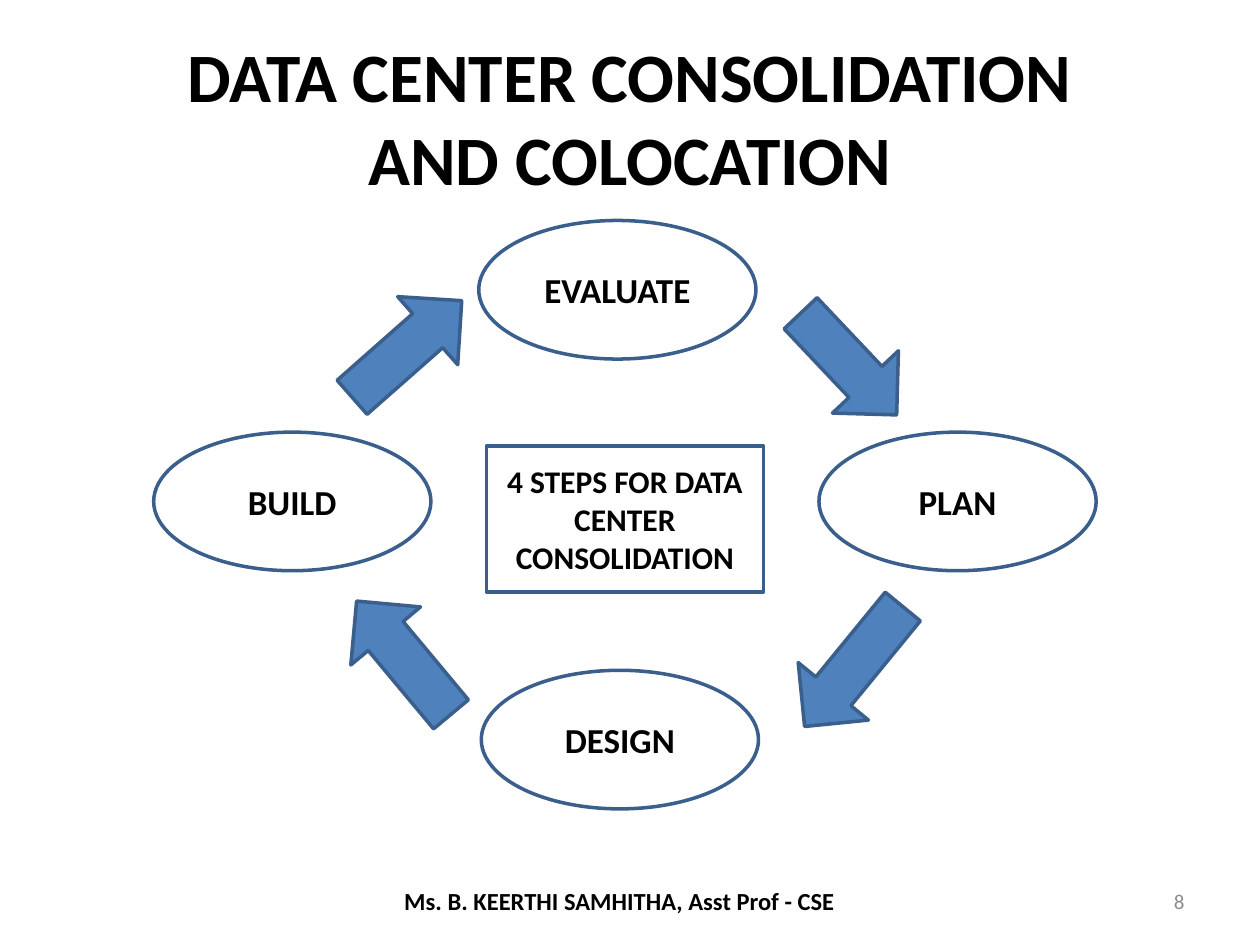
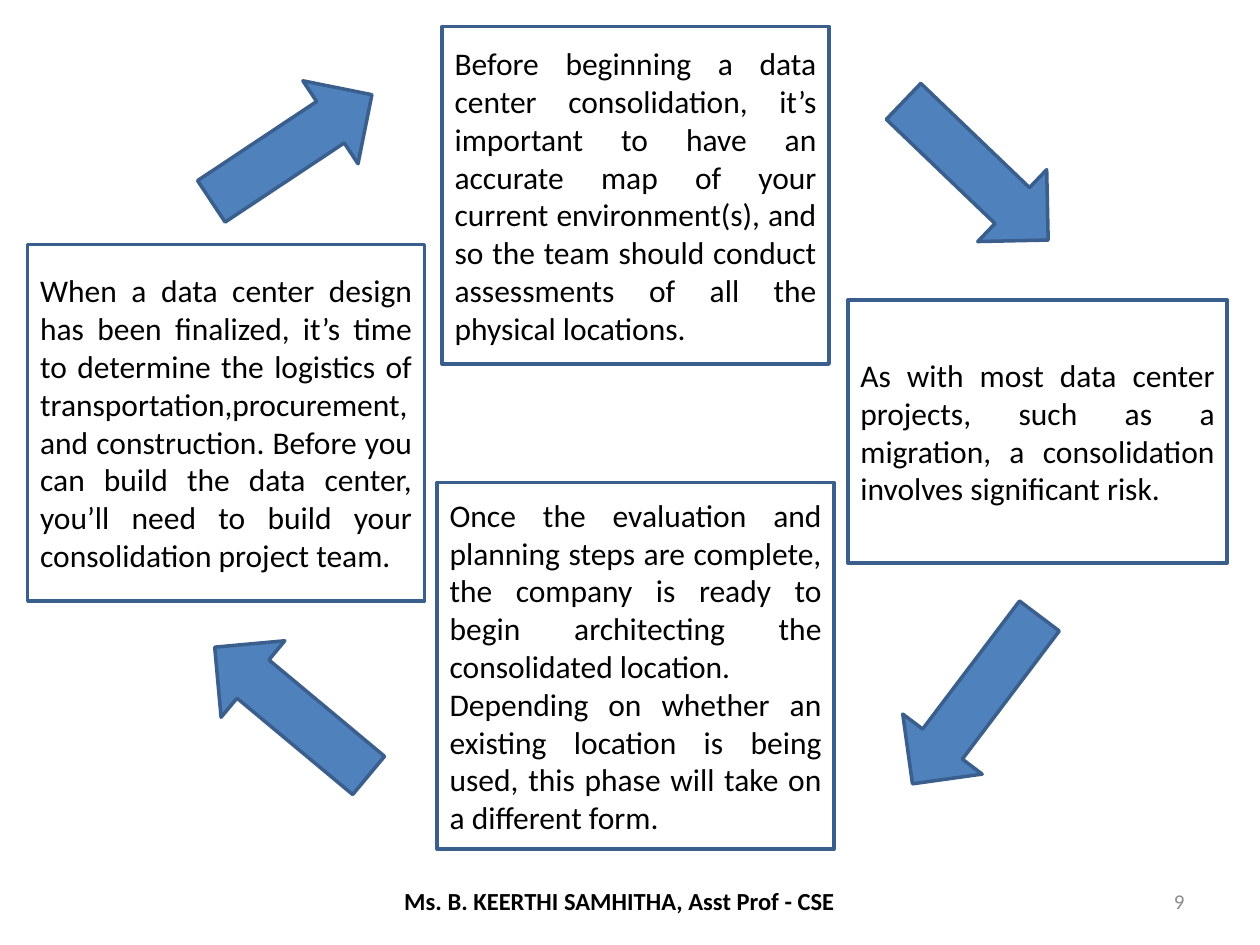
from pptx import Presentation
from pptx.dml.color import RGBColor
from pptx.enum.shapes import MSO_SHAPE
from pptx.enum.text import MSO_ANCHOR, PP_ALIGN
from pptx.util import Emu, Pt

PX = 9144
SLIDE_WIDTH, SLIDE_HEIGHT = 1000, 750

FONT = "Calibri"
BLACK = RGBColor(0x00, 0x00, 0x00)
GRAY = RGBColor(0x8C, 0x8C, 0x8C)
BLUE = RGBColor(0x4F, 0x81, 0xBD)
DARK_BLUE = RGBColor(0x3A, 0x5F, 0x8C)

ELLIPSE, RECTANGLE, ARROW = MSO_SHAPE.OVAL, MSO_SHAPE.RECTANGLE, MSO_SHAPE.RIGHT_ARROW
LEFT, CENTER, RIGHT, JUSTIFY = PP_ALIGN.LEFT, PP_ALIGN.CENTER, PP_ALIGN.RIGHT, PP_ALIGN.JUSTIFY
TOP, MIDDLE = MSO_ANCHOR.TOP, MSO_ANCHOR.MIDDLE
TITLE_ONLY, BLANK = 5, 6

AUTHOR = "Ms. B. KEERTHI SAMHITHA, Asst Prof - CSE"

STEP_SIZE = (220, 110)
STEPS = [
    ("EVALUATE", 258, 0),
    ("PLAN", 528, 168),
    ("DESIGN", 260, 357),
    ("BUILD", 0, 168),
]
STEP_ARROWS = [
    (496, 78, 111, 46.6),
    (494, 318, 123, 129.3),
    (140, 311, 117, 230.2),
    (143, 66, 116, 318.6),
]
HUB_LINES = ["4 STEPS FOR DATA", "CENTER", "CONSOLIDATION"]

DETAILS = [
    ((329, 0, 307, 268), [
        "Before beginning a data center consolidation, it’s important to have an accurate "
        "map of your current environment(s), and so the team should conduct assessments "
        "of all the physical locations."]),
    ((651, 217, 301, 209), [
        "As with most data center projects, such as a migration, a consolidation involves "
        "significant risk."]),
    ((325, 362, 315, 291), [
        "Once the evaluation and planning steps are complete, the company is ready to "
        "begin architecting the consolidated location.",
        "Depending on whether an existing location is being used, this phase will take "
        "on a different form."]),
    ((0, 173, 315, 283), [
        "When a data center design has been finalized, it’s time to determine the "
        "logistics of transportation,procurement, and construction. Before you can build "
        "the data center, you’ll need to build your consolidation project team."]),
]
DETAIL_ARROWS = [
    (673, 75, 159, 43.8),
    (669, 495, 167, 127.1),
    (130, 504, 159, 219.8),
    (133, 57, 153, 326.4),
]


def to_emu(*lengths):
    """Turn px lengths into EMU."""
    return [Emu(length * PX) for length in lengths]


def write(shape, lines, size=18, bold=False, color=BLACK, align=CENTER, anchor=MIDDLE):
    """Fill a shape with one formatted paragraph for each line."""
    frame = shape.text_frame
    frame.word_wrap = True
    frame.vertical_anchor = anchor
    frame.text = "\n".join(lines)
    for paragraph in frame.paragraphs:
        paragraph.alignment = align
        for run in paragraph.runs:
            run.font.name = FONT
            run.font.size = Pt(size)
            run.font.bold = bold
            run.font.color.rgb = color


def add_outlined(slide, kind, box, fill=None):
    """Add a preset shape with the shared outline and an optional fill."""
    shape = slide.shapes.add_shape(kind, *to_emu(*box))
    shape.shadow.inherit = False
    if fill is None:
        shape.fill.background()
    else:
        shape.fill.solid()
        shape.fill.fore_color.rgb = fill
    shape.line.color.rgb = DARK_BLUE
    shape.line.width = Pt(2)
    return shape


def add_arrows(slide, origin, arrows, thickness):
    """Add the turned arrows of a cycle that starts at the origin."""
    left, top = origin
    for x, y, length, angle in arrows:
        arrow = add_outlined(slide, ARROW, (left + x, top + y, length, thickness), BLUE)
        arrow.rotation = angle


def add_footer(slide, number):
    """Add the author line and the slide number."""
    author = slide.shapes.add_textbox(*to_emu(311, 698, 378, 34))
    write(author, [AUTHOR], size=14, bold=True, align=LEFT, anchor=TOP)
    number_box = slide.shapes.add_textbox(*to_emu(717, 695, 233, 40))
    write(number_box, [str(number)], size=12, color=GRAY, align=RIGHT)


def add_title(slide, box, text):
    """Place and format the title placeholder."""
    title = slide.shapes.title
    title.left, title.top, title.width, title.height = to_emu(*box)
    write(title, [text], size=39.6, bold=True)


def add_step_cycle(slide, origin):
    """Draw the four named steps around the central label."""
    left, top = origin
    for name, x, y in STEPS:
        step = add_outlined(slide, ELLIPSE, (left + x, top + y, *STEP_SIZE))
        write(step, [name], size=20, bold=True)
    add_arrows(slide, origin, STEP_ARROWS, 72)
    hub = add_outlined(slide, RECTANGLE, (left + 264, top + 179, 220, 116))
    write(hub, HUB_LINES, bold=True)


def add_detail_cycle(slide, origin):
    """Draw the four step descriptions and the arrows between them."""
    left, top = origin
    for (x, y, width, height), lines in DETAILS:
        detail = add_outlined(slide, RECTANGLE, (left + x, top + y, width, height))
        write(detail, lines, align=JUSTIFY)
    add_arrows(slide, origin, DETAIL_ARROWS, 79)


def build_steps_slide(presentation, number):
    """Build the slide that names the four steps."""
    slide = presentation.slides.add_slide(presentation.slide_layouts[TITLE_ONLY])
    add_title(slide, (50, 30, 900, 125), "DATA CENTER CONSOLIDATION\vAND COLOCATION")
    add_step_cycle(slide, (122, 175))
    add_footer(slide, number)


def build_details_slide(presentation, number):
    """Build the slide that describes the four steps."""
    slide = presentation.slides.add_slide(presentation.slide_layouts[BLANK])
    add_detail_cycle(slide, (22, 21))
    add_footer(slide, number)


def main():
    """Build both slides and save the file."""
    presentation = Presentation()
    presentation.slide_width, presentation.slide_height = to_emu(SLIDE_WIDTH, SLIDE_HEIGHT)
    build_steps_slide(presentation, 8)
    build_details_slide(presentation, 9)
    presentation.save("out.pptx")


if __name__ == "__main__":
    main()
